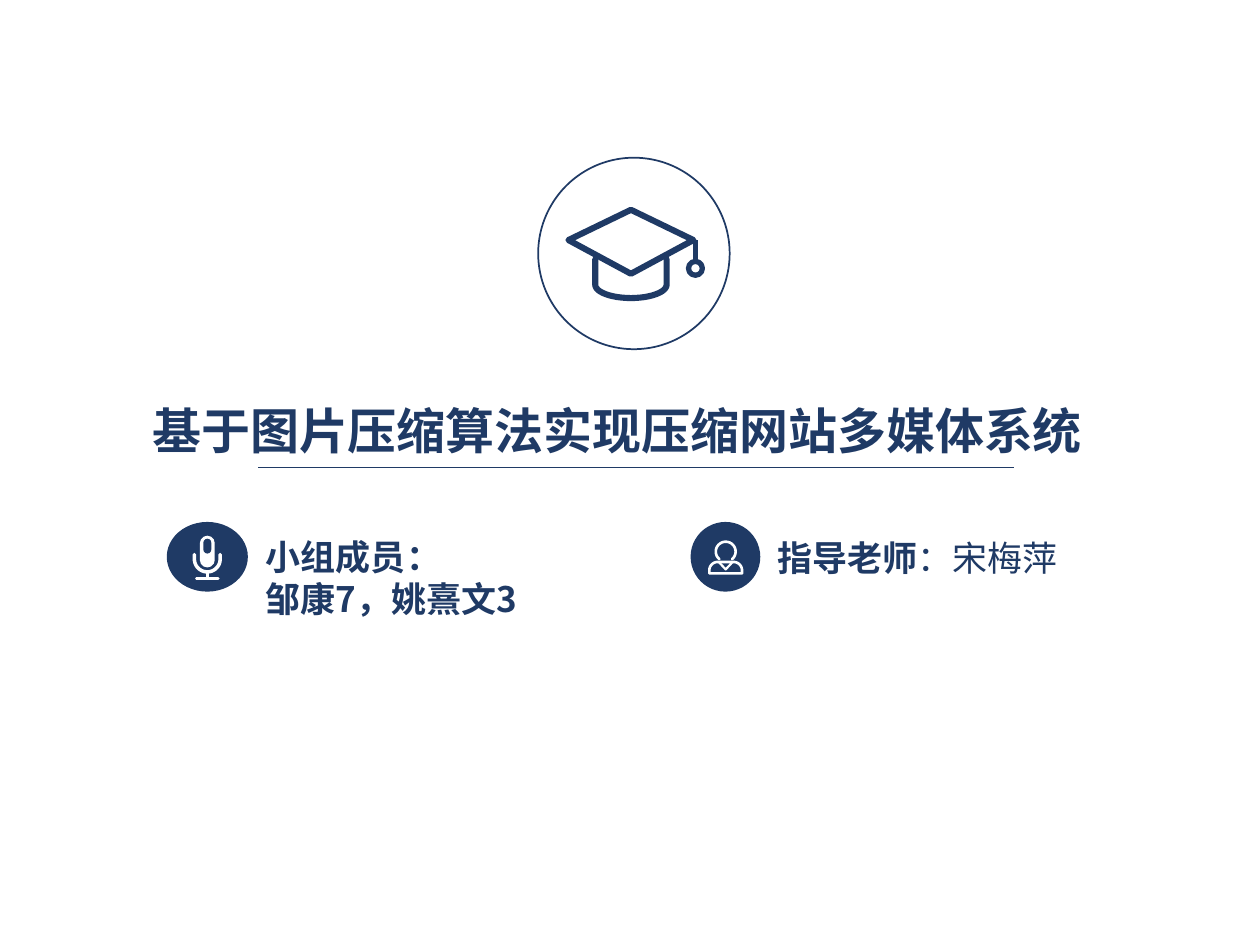
"""Build the cover slide of a student project."""
from dataclasses import dataclass
from math import cos, radians, sin

from lxml import etree
from pptx import Presentation
from pptx import util as u
from pptx.dml.color import RGBColor
from pptx.enum import shapes as s
from pptx.enum import text as t
from pptx.oxml import ns

NAVY = RGBColor(0x1F, 0x3A, 0x65)
WHITE = RGBColor(0xFF, 0xFF, 0xFF)
FONT = "Noto Sans CJK SC"
Point = tuple[float, float]
Run = tuple[str, bool]


@dataclass
class Box:
    x: float
    y: float
    w: float
    h: float

    def emu(self) -> list[u.Cm]:
        return [u.Cm(v) for v in (self.x, self.y, self.w, self.h)]


@dataclass
class Label:
    badge: Box
    box: Box
    lines: list[list[Run]]


@dataclass
class Stroke:
    dots: list[Point]
    color: RGBColor
    width: float
    closed: bool = False


def arc(x: float, y: float, rx: float, ry: float, start: int, end: int) -> list[Point]:
    """Return points along an elliptic arc, with angles in degrees."""
    turns = [radians(start + (end - start) * i / 24) for i in range(25)]
    return [(x + rx * cos(a), y + ry * sin(a)) for a in turns]


def oval(slide, box: Box, fill=None, line=NAVY, width=1.0, kind=s.MSO_SHAPE.OVAL):
    """Draw a preset shape, round by default."""
    shape = slide.shapes.add_shape(kind, *box.emu())
    shape.shadow.inherit = False
    if fill is None:
        shape.fill.background()
    else:
        shape.fill.solid()
        shape.fill.fore_color.rgb = fill
    if line is None:
        shape.line.fill.background()
    else:
        shape.line.color.rgb = line
        shape.line.width = u.Pt(width)
    return shape


def pill(slide, box: Box, fill: RGBColor) -> None:
    """Draw a filled bar with fully round ends."""
    shape = oval(slide, box, fill, None, kind=s.MSO_SHAPE.ROUNDED_RECTANGLE)
    shape.adjustments[0] = 0.5


def trace(slide, stroke: Stroke) -> None:
    """Draw an unfilled outline with round caps and joins."""
    dots = [(u.Cm(x), u.Cm(y)) for x, y in stroke.dots]
    pen = slide.shapes.build_freeform(*dots[0])
    pen.add_line_segments(dots[1:], close=stroke.closed)
    shape = pen.convert_to_shape()
    shape.shadow.inherit = False
    shape.fill.background()
    shape.line.color.rgb = stroke.color
    shape.line.width = u.Pt(stroke.width)
    line = shape.line._get_or_add_ln()
    line.set("cap", "rnd")
    etree.SubElement(line, ns.qn("a:round"))


def rule(slide, start: Point, end: Point, color: RGBColor, width: float) -> None:
    """Draw a straight line."""
    ends = [u.Cm(v) for v in (*start, *end)]
    line = slide.shapes.add_connector(s.MSO_CONNECTOR.STRAIGHT, *ends)
    line.line.color.rgb = color
    line.line.width = u.Pt(width)
    etree.SubElement(line._element.spPr, ns.qn("a:effectLst"))


def write(para, runs: list[Run], size: int) -> None:
    """Add the runs of one paragraph."""
    for words, bold in runs:
        run = para.add_run()
        run.text = words
        font = run.font
        font.size, font.bold, font.name = u.Pt(size), bold, FONT
        font.color.rgb = NAVY
        east = etree.SubElement(run._r.get_or_add_rPr(), ns.qn("a:ea"))
        east.set("typeface", FONT)


def label(slide, item: Label) -> None:
    """Draw a badge with its text."""
    oval(slide, item.badge, NAVY)
    frame = slide.shapes.add_textbox(*item.box.emu()).text_frame
    frame.word_wrap = True
    frame.vertical_anchor = t.MSO_ANCHOR.MIDDLE
    for i, runs in enumerate(item.lines):
        para = frame.add_paragraph() if i else frame.paragraphs[0]
        para.line_spacing = u.Pt(24)
        write(para, runs, 20)


def cap(slide) -> None:
    """Draw the graduation cap in its ring."""
    oval(slide, Box(10.85, 3.18, 3.86, 3.86))
    body = [(12, 5.23), *arc(12.72, 5.74, 0.72, 0.27, 180, 0), (13.44, 5.23)]
    board = [(11.46, 4.84), (12.72, 4.23), (13.98, 4.84), (12.72, 5.52)]
    trace(slide, Stroke(body, NAVY, 3.5))
    trace(slide, Stroke(board, NAVY, 3.5, True))
    rule(slide, (14.02, 4.84), (14.02, 5.24), NAVY, 2.75)
    oval(slide, Box(13.88, 5.27, 0.28, 0.28), width=3)


def mic(slide) -> None:
    """Draw the microphone."""
    pill(slide, Box(4.03, 10.8, 0.3, 0.64), WHITE)
    pill(slide, Box(4.1, 10.86, 0.16, 0.3), NAVY)
    cradle = [(3.92, 11.18), *arc(4.18, 11.27, 0.26, 0.26, 180, 0), (4.44, 11.18)]
    trace(slide, Stroke(cradle, WHITE, 2))
    rule(slide, (4.18, 11.53), (4.18, 11.66), WHITE, 2)
    trace(slide, Stroke([(3.96, 11.66), (4.4, 11.66)], WHITE, 1.5))


def person(slide) -> None:
    """Draw the teacher's bust."""
    trace(slide, Stroke(arc(14.63, 11.12, 0.2, 0.2, 130, 410), WHITE, 1.5))
    bust = [(14.3, 11.56), *arc(14.47, 11.5, 0.17, 0.17, 180, 270),
            *arc(14.79, 11.5, 0.17, 0.17, 270, 360), (14.96, 11.56)]
    trace(slide, Stroke(bust, WHITE, 1.5, True))
    trace(slide, Stroke([(14.5, 11.34), (14.63, 11.48), (14.76, 11.34)], WHITE, 1.25))


LABELS = [
    Label(Box(13.94, 10.54, 1.37, 1.37), Box(15.42, 10.67, 6.99, 1.12),
          [[("指导老师", True), ("：宋梅萍", False)]]),
    Label(Box(3.38, 10.54, 1.6, 1.37), Box(5.11, 10.67, 8.48, 1.96),
          [[("小组成员：", True)], [("邹康7，姚熹文3", True)]]),
]


def main() -> None:
    """Build and save the slide."""
    deck = Presentation()
    deck.slide_width, deck.slide_height = u.Cm(25.4), u.Cm(19.05)
    slide = deck.slides.add_slide(deck.slide_layouts[5])
    title = slide.shapes.title
    title.left, title.top, title.width, title.height = Box(0.36, 7.95, 24.16, 1.45).emu()
    frame = title.text_frame
    frame.word_wrap = True
    frame.vertical_anchor = t.MSO_ANCHOR.MIDDLE
    frame.paragraphs[0].alignment = t.PP_ALIGN.CENTER
    write(frame.paragraphs[0], [("基于图片压缩算法实现压缩网站多媒体系统", True)], 28)
    cap(slide)
    rule(slide, (5.21, 9.42), (20.45, 9.42), NAVY, 0.5)
    for item in LABELS:
        label(slide, item)
    mic(slide)
    person(slide)
    deck.save("out.pptx")


if __name__ == "__main__":
    main()
